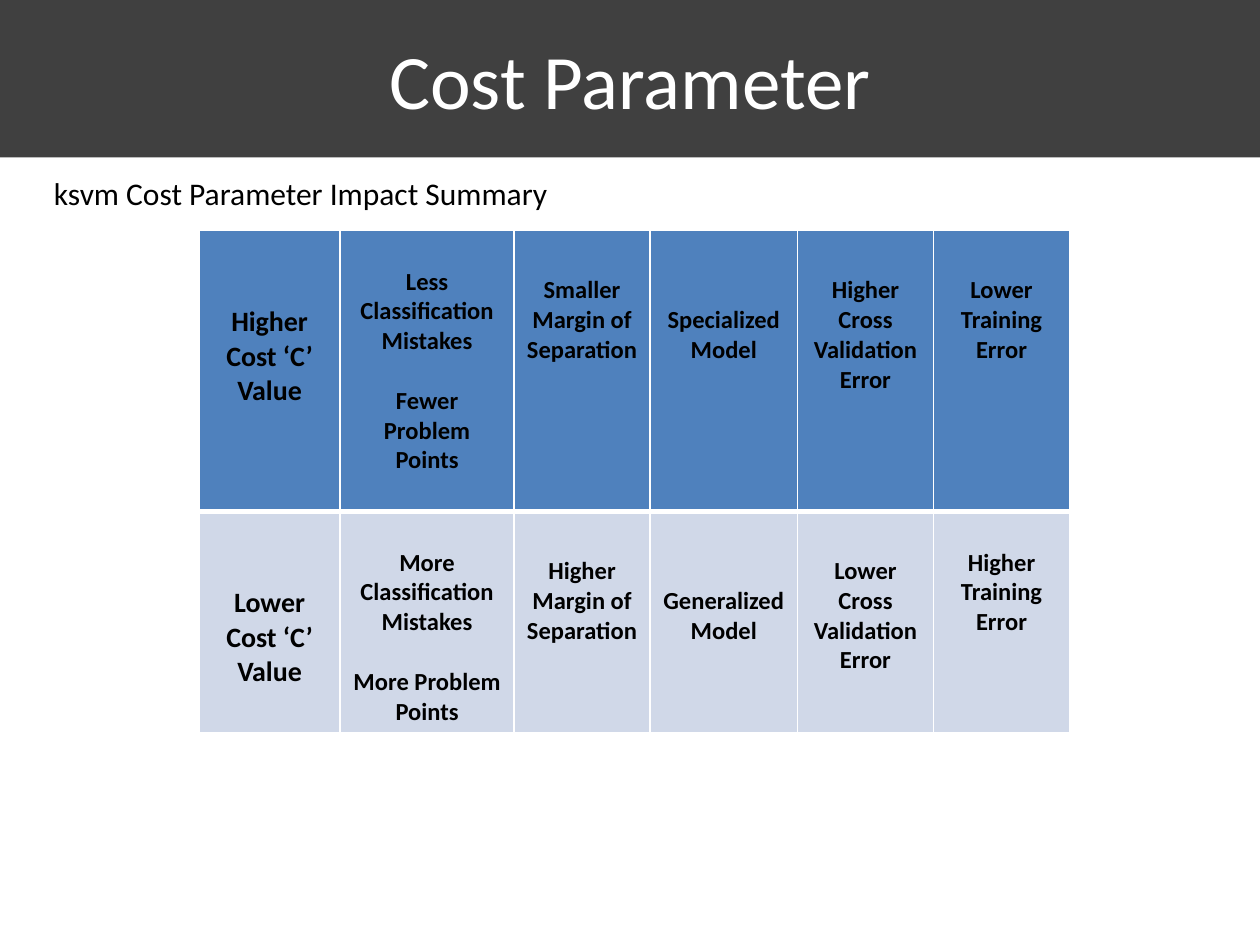
from lxml.etree import SubElement
from pptx import Presentation
from pptx.dml.color import RGBColor
from pptx.enum.text import MSO_ANCHOR as Anchor, PP_ALIGN as Align
from pptx.oxml.ns import qn
from pptx.util import Inches, Pt

TITLE = "Cost Parameter"
SUBTITLE = "ksvm Cost Parameter Impact Summary"
FONT = "Calibri"
LINE_HEIGHT = 1.22
COLUMN_WIDTHS = [1.12, 1.38, 1.08, 1.17, 1.08, 1.08]
ROWS = [
    {
        "height": 2.23, "fill": "4F81BD", "bottom": 3,
        "texts": [
            "Higher Cost ‘C’ Value",
            "Less Classification Mistakes\nFewer Problem Points",
            "Smaller Margin of Separation",
            "Specialized Model",
            "Higher Cross Validation Error",
            "Lower Training Error",
        ],
        "lead": [32, 14, 18, 32, 18, 18],
    },
    {
        "height": 1.75, "fill": "D0D8E8", "bottom": 1,
        "texts": [
            "Lower Cost ‘C’ Value",
            "More Classification Mistakes\nMore Problem Points",
            "Higher Margin of Separation",
            "Generalized Model",
            "Lower Cross Validation Error",
            "Higher Training Error",
        ],
        "lead": [32, 14, 18, 32, 18, 14],
    },
]


def color(value):
    return RGBColor.from_string(value)


def format_text(text_frame, size, value="000000", bold=False, align=Align.LEFT):
    for paragraph in text_frame.paragraphs:
        paragraph.alignment = align
        for run in paragraph.runs:
            run.font.name = FONT
            run.font.size = Pt(size)
            run.font.bold = bold
            run.font.color.rgb = color(value)


def set_borders(cell, bottom):
    properties = cell._tc.get_or_add_tcPr()
    for side, width in (("L", 1), ("R", 1), ("T", 1), ("B", bottom)):
        line = SubElement(properties, qn(f"a:ln{side}"), w=str(Pt(width)))
        SubElement(SubElement(line, qn("a:solidFill")), qn("a:srgbClr"), val="FFFFFF")


def fill_cell(cell, text, lead, size, row):
    set_borders(cell, row["bottom"])
    cell.fill.solid()
    cell.fill.fore_color.rgb = color(row["fill"])
    cell.margin_top = Inches(0.05) + Pt(lead * LINE_HEIGHT)
    cell.text_frame.text = text
    for paragraph in cell.text_frame.paragraphs[1:]:
        paragraph.space_before = Pt(size * LINE_HEIGHT)
    format_text(cell.text_frame, size, bold=True, align=Align.CENTER)


def add_title(slide, width):
    title = slide.shapes.title
    title.left, title.top, title.width, title.height = 0, 0, width, Inches(1.25)
    title.fill.solid()
    title.fill.fore_color.rgb = color("404040")
    title.text_frame.text = TITLE
    title.text_frame.vertical_anchor = Anchor.MIDDLE
    format_text(title.text_frame, 44, "FFFFFF", align=Align.CENTER)


def add_cost_table(slide):
    table = slide.shapes.add_table(
        len(ROWS), len(COLUMN_WIDTHS), Inches(1.58), Inches(1.83),
        Inches(sum(COLUMN_WIDTHS)), Inches(sum(row["height"] for row in ROWS)),
    ).table
    for column, width in zip(table.columns, COLUMN_WIDTHS):
        column.width = Inches(width)
    for row_index, row in enumerate(ROWS):
        table.rows[row_index].height = Inches(row["height"])
        for column_index, (text, lead) in enumerate(zip(row["texts"], row["lead"])):
            size = 16 if column_index == 0 else 14
            fill_cell(table.cell(row_index, column_index), text, lead, size, row)


def add_subtitle(slide):
    subtitle = slide.shapes.add_textbox(Inches(0.33), Inches(1.33), Inches(4.16), Inches(0.4))
    subtitle.text_frame.word_wrap = False
    subtitle.text_frame.text = SUBTITLE
    format_text(subtitle.text_frame, 18)


def main():
    presentation = Presentation()
    presentation.slide_width, presentation.slide_height = Inches(10), Inches(7.5)
    slide = presentation.slides.add_slide(presentation.slide_layouts.get_by_name("Title Only"))
    add_title(slide, presentation.slide_width)
    add_cost_table(slide)
    add_subtitle(slide)
    presentation.save("out.pptx")


if __name__ == "__main__":
    main()
